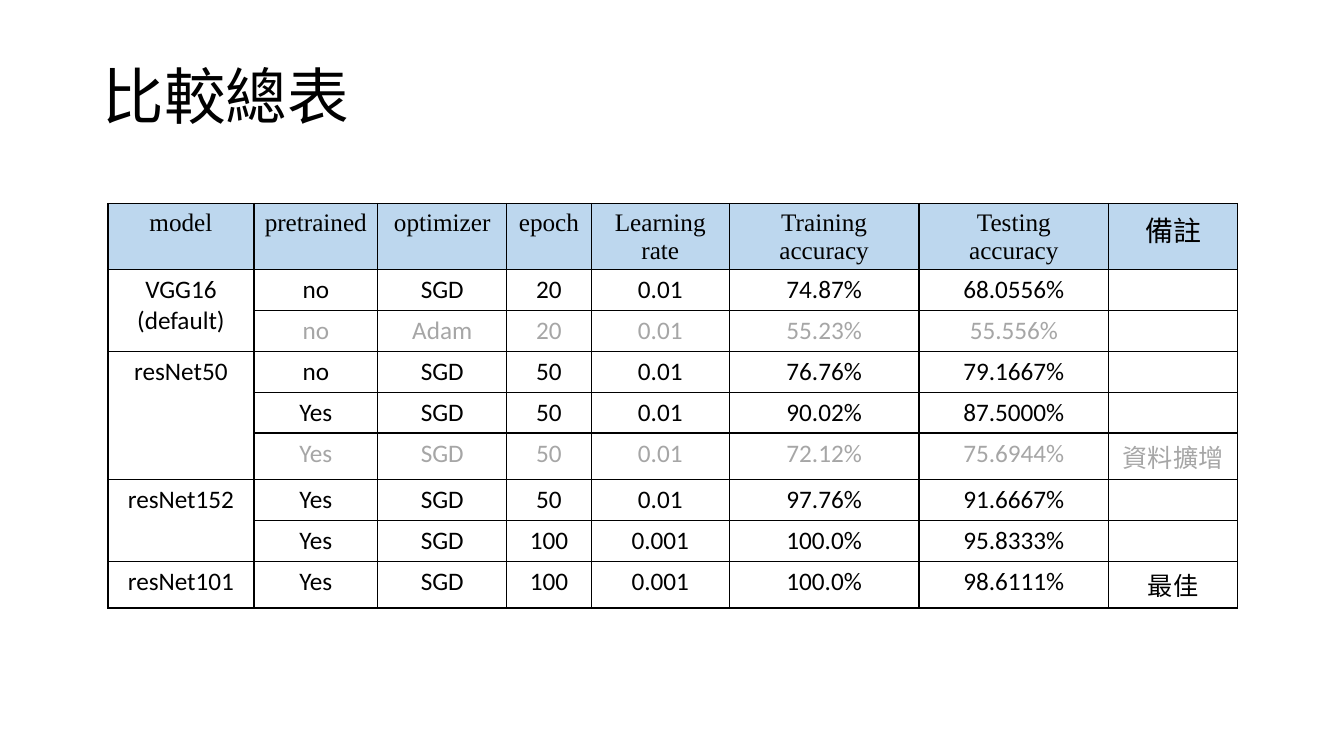
from lxml.etree import SubElement
from pptx import Presentation
from pptx.dml.color import RGBColor
from pptx.enum.text import MSO_ANCHOR, MSO_AUTO_SIZE, PP_ALIGN
from pptx.oxml.ns import qn
from pptx.util import Cm, Pt

TITLE = "比較總表"
HEADER = ["model", "pretrained", "optimizer", "epoch", "Learning rate",
          "Training accuracy", "Testing accuracy", "備註"]
GROUPS = [
    ("VGG16\n(default)", [
        ["no", "SGD", "20", "0.01", "74.87%", "68.0556%", ""],
        ["no", "Adam", "20", "0.01", "55.23%", "55.556%", ""],
    ]),
    ("resNet50", [
        ["no", "SGD", "50", "0.01", "76.76%", "79.1667%", ""],
        ["Yes", "SGD", "50", "0.01", "90.02%", "87.5000%", ""],
        ["Yes", "SGD", "50", "0.01", "72.12%", "75.6944%", "資料擴增"],
    ]),
    ("resNet152", [
        ["Yes", "SGD", "50", "0.01", "97.76%", "91.6667%", ""],
        ["Yes", "SGD", "100", "0.001", "100.0%", "95.8333%", ""],
    ]),
    ("resNet101", [
        ["Yes", "SGD", "100", "0.001", "100.0%", "98.6111%", "最佳"],
    ]),
]
MUTED_ROWS = {2, 5}
COL_WIDTHS = [3.68, 3.12, 3.25, 2.13, 3.48, 4.78, 4.78, 3.25]
ROW_HEIGHT = 1.03
BLACK, GREY, HEADER_BLUE = "000000", "A6A6A6", "BDD7EE"
CJK, BODY, HEAD = "Noto Sans CJK SC", "Calibri", "Times New Roman"


def rgb(value):
    return RGBColor.from_string(value)


def add_run(p, text, font, size, color):
    r = p.add_run()
    r.text = text
    r.font.name = font
    r.font.size = Pt(size)
    r.font.color.rgb = rgb(color)
    if font == CJK:
        SubElement(r.font._element, qn("a:ea"), typeface=font)


def write_cell(cell, text, font, size, color):
    tf = cell.text_frame
    for i, line in enumerate(text.split("\n")):
        p = tf.add_paragraph() if i else tf.paragraphs[0]
        p.alignment = PP_ALIGN.CENTER
        if line:
            add_run(p, line, font, size, color)


def style_cell(cell, fill):
    tcPr = cell._tc.get_or_add_tcPr()
    for side in ("lnL", "lnR", "lnT", "lnB"):
        ln = SubElement(tcPr, qn(f"a:{side}"), w=str(Pt(1)))
        SubElement(SubElement(ln, qn("a:solidFill")), qn("a:srgbClr"), val=BLACK)
    if fill:
        cell.fill.solid()
        cell.fill.fore_color.rgb = rgb(fill)
    else:
        cell.fill.background()


def add_title(s):
    sp = s.shapes.title
    sp.left, sp.top, sp.width, sp.height = Cm(2.33), Cm(0.66), Cm(29.21), Cm(3.68)
    tf = sp.text_frame
    tf.auto_size = MSO_AUTO_SIZE.NONE
    tf.vertical_anchor = MSO_ANCHOR.MIDDLE
    p = tf.paragraphs[0]
    p.alignment = PP_ALIGN.LEFT
    p.line_spacing = 0.9
    add_run(p, TITLE, CJK, 44, BLACK)


def add_results(s):
    rows = [HEADER]
    spans = []
    for model, runs in GROUPS:
        spans.append((len(rows), len(rows) + len(runs) - 1))
        rows += [["" if i else model] + values for i, values in enumerate(runs)]
    table = s.shapes.add_table(len(rows), len(HEADER), Cm(2.72), Cm(5.13),
                               Cm(sum(COL_WIDTHS)), Cm(ROW_HEIGHT * len(rows))).table
    table.first_row = table.horz_banding = False
    for column, width in zip(table.columns, COL_WIDTHS):
        column.width = Cm(width)
    note = len(HEADER) - 1
    for i, values in enumerate(rows):
        table.rows[i].height = Cm(ROW_HEIGHT)
        for j, text in enumerate(values):
            cell = table.cell(i, j)
            font = CJK if j == note else BODY if i else HEAD
            size = 20 if (i, j) == (0, note) else 18
            color = GREY if i in MUTED_ROWS and j else BLACK
            write_cell(cell, text, font, size, color)
            style_cell(cell, None if i else HEADER_BLUE)
    for first, last in spans:
        if last > first:
            table.cell(first, 0).merge(table.cell(last, 0))


def main():
    prs = Presentation()
    prs.slide_width, prs.slide_height = Cm(33.87), Cm(19.05)
    s = prs.slides.add_slide(prs.slide_layouts[5])
    add_title(s)
    add_results(s)
    prs.save("out.pptx")


if __name__ == "__main__":
    main()
